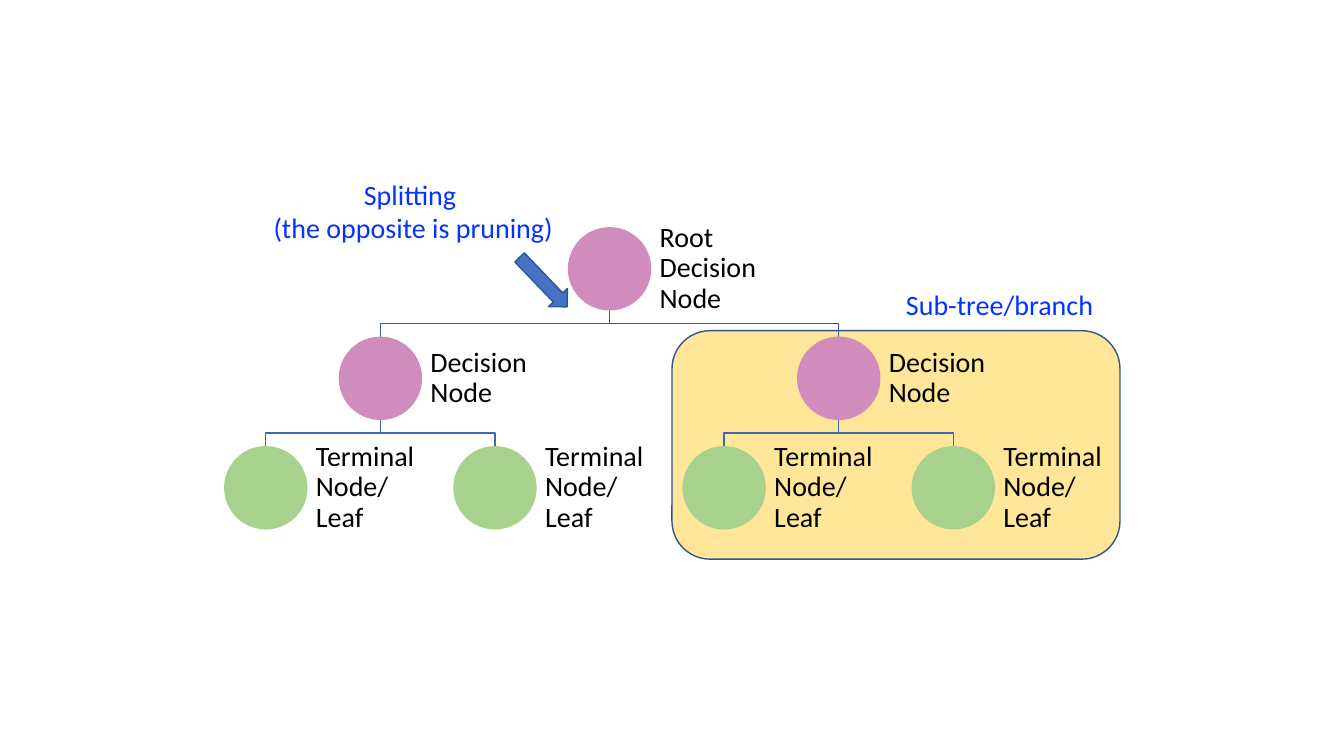
"""Draw a decision tree with its root, branches and leaves."""
from pptx import Presentation
from pptx import util as u
from pptx.dml.color import RGBColor
from pptx.enum import shapes, text

PINK = RGBColor(0xD0, 0x8C, 0xBD)
GREEN = RGBColor(0xA9, 0xD1, 0x8E)
YELLOW = RGBColor(0xFF, 0xE6, 0x99)
BLUE = RGBColor(0x44, 0x72, 0xC4)
OUTLINE = RGBColor(0x32, 0x54, 0x91)
UPPER_BRANCH = RGBColor(0x36, 0x5B, 0x9D)
LOWER_BRANCH = RGBColor(0x3E, 0x67, 0xB2)
BLACK = RGBColor(0, 0, 0)
NOTE_BLUE = RGBColor(0x04, 0x32, 0xFF)

DIAMETER = 59.6
LABEL_WIDTH = 89.4
ROOT_X = 435.4
ROOT_TOP = 162.2
LEVEL_STEP = 78.2
FIRST_SPREAD = 163.7
LEVELS = [
    ("Root Decision Node", PINK, UPPER_BRANCH),
    ("Decision Node", PINK, LOWER_BRANCH),
    ("Terminal Node/ Leaf", GREEN, None),
]


class TreeSlide:
    """Hold the text style and the slide being drawn."""

    def __init__(self, page, font="Calibri", size=20):
        self.page = page
        self.font = font
        self.size = size

    def shape(self, kind, left, top, width, height, fill, line=None, rotation=0):
        """Add a filled preset shape."""
        shape = self.page.shapes.add_shape(
            kind, u.Pt(left), u.Pt(top), u.Pt(width), u.Pt(height))
        shape.shadow.inherit = False
        shape.rotation = rotation
        shape.fill.solid()
        shape.fill.fore_color.rgb = fill
        if line is None:
            shape.line.fill.background()
        else:
            shape.line.color.rgb = line
            shape.line.width = u.Pt(1)

    def branch(self, start, end, color):
        """Add an elbow line from a parent down to a child."""
        middle = (start[1] + end[1]) / 2
        points = [start, (start[0], middle), (end[0], middle), end]
        first, *rest = [(u.Pt(x), u.Pt(y)) for x, y in points]
        builder = self.page.shapes.build_freeform(*first)
        builder.add_line_segments(rest, close=False)
        elbow = builder.convert_to_shape()
        elbow.shadow.inherit = False
        elbow.fill.background()
        elbow.line.color.rgb = color
        elbow.line.width = u.Pt(1)

    def text(self, words, left, top, width, height, color, align=None):
        """Add a one-paragraph text box and return it."""
        box = self.page.shapes.add_textbox(
            u.Pt(left), u.Pt(top), u.Pt(width), u.Pt(height))
        frame = box.text_frame
        frame.word_wrap = False
        para = frame.paragraphs[0]
        para.text = words
        para.alignment = align
        for span in para.runs:
            span.font.name = self.font
            span.font.size = u.Pt(self.size)
            span.font.color.rgb = color
        return box

    def node(self, center, top, words, fill):
        """Add a circle with its label on the right."""
        self.shape(shapes.MSO_SHAPE.OVAL, center - DIAMETER / 2, top,
                   DIAMETER, DIAMETER, fill)
        label = self.text(words, center + DIAMETER / 2, top,
                          LABEL_WIDTH, DIAMETER, BLACK)
        frame = label.text_frame
        frame.word_wrap = True
        frame.vertical_anchor = text.MSO_ANCHOR.MIDDLE
        frame.margin_left = frame.margin_right = u.Pt(6)
        frame.margin_top = frame.margin_bottom = u.Pt(6)
        frame.paragraphs[0].line_spacing = 0.9

    def note(self, words, left, top, width, height, align=None):
        """Add a blue annotation that fits its text."""
        box = self.text(words, left, top, width, height, NOTE_BLUE, align)
        box.text_frame.auto_size = text.MSO_AUTO_SIZE.SHAPE_TO_FIT_TEXT

    def tree(self):
        """Add all branches, then all nodes, level by level."""
        nodes, centers, spread = [], [ROOT_X], FIRST_SPREAD
        for depth, (words, fill, line) in enumerate(LEVELS):
            top = ROOT_TOP + depth * LEVEL_STEP
            nodes += [(center, top, words, fill) for center in centers]
            if line is None:
                break
            children = []
            for center in centers:
                for child in (center - spread, center + spread):
                    self.branch((center, top + DIAMETER),
                                (child, top + LEVEL_STEP), line)
                    children.append(child)
            centers, spread = children, spread / 2
        for node in nodes:
            self.node(*node)


def main():
    deck = Presentation()
    deck.slide_width, deck.slide_height = u.Pt(960), u.Pt(540)
    slide = TreeSlide(deck.slides.add_slide(deck.slide_layouts[6]))
    slide.shape(shapes.MSO_SHAPE.ROUNDED_RECTANGLE, 480, 236.2, 320, 163.2,
                YELLOW, OUTLINE)
    slide.tree()
    slide.shape(shapes.MSO_SHAPE.LEFT_ARROW, 363.6, 192.2, 49, 18.7,
                BLUE, OUTLINE, rotation=226.2)
    slide.note("Splitting \v(the opposite is pruning)", 187.2, 123.1, 216, 55.4,
               text.PP_ALIGN.CENTER)
    slide.note("Sub-tree/branch", 640, 201.6, 149.8, 31.7)
    deck.save("out.pptx")


if __name__ == "__main__":
    main()
